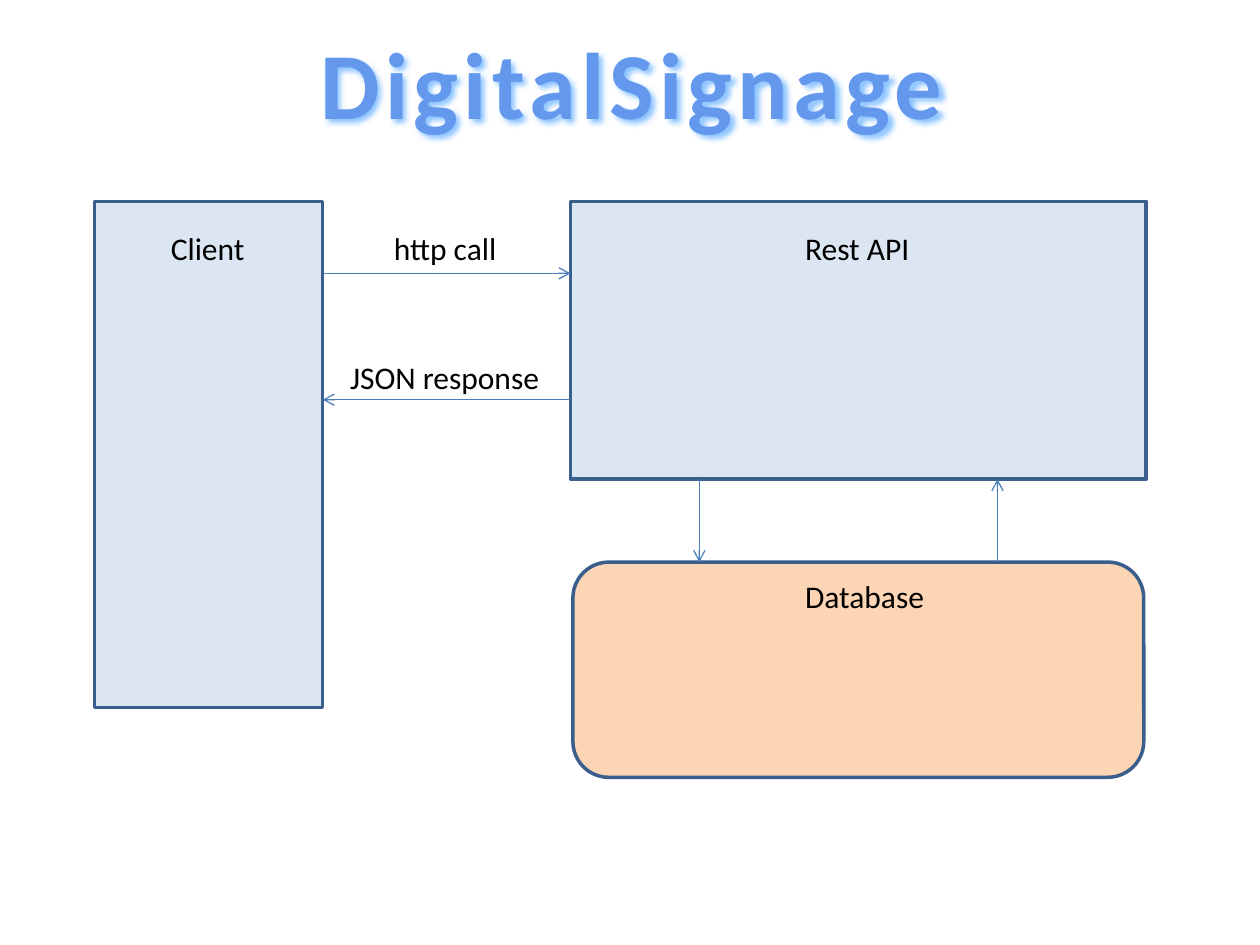
from pptx import Presentation
from pptx.dml.color import RGBColor
from pptx.enum.shapes import MSO_CONNECTOR, MSO_SHAPE
from pptx.enum.text import MSO_ANCHOR, MSO_AUTO_SIZE, PP_ALIGN
from pptx.oxml import parse_xml
from pptx.oxml.ns import nsdecls, qn
from pptx.util import Pt
from lxml.etree import SubElement

FONT = "Calibri"
COLORS = {
    "text": "000000",
    "title": "6398ED",
    "title_shadow": "8CC4FF",
    "service": "DCE6F2",
    "database": "FCD5B5",
    "border": "3A5F8C",
    "arrow": "4B7EBC",
}

# Edges shared by the boxes and the arrows between them
TOP = 115.2
CLIENT_LEFT, CLIENT_RIGHT = 54, 184.4
API_LEFT, API_BOTTOM = 326, 273.8
DB_TOP = 321.2


def color(name):
    return RGBColor.from_string(COLORS[name])


def add_box(slide, kind, fill, left, top, width, height):
    sp = slide.shapes.add_shape(kind, Pt(left), Pt(top), Pt(width), Pt(height))
    sp.shadow.inherit = False
    sp.fill.solid()
    sp.fill.fore_color.rgb = color(fill)
    sp.line.color.rgb = color("border")
    sp.line.width = Pt(2)


def add_label(slide, text, left, top, width):
    sp = slide.shapes.add_textbox(Pt(left), Pt(top), Pt(width), Pt(29))
    tf = sp.text_frame
    tf.word_wrap = False
    tf.auto_size = MSO_AUTO_SIZE.SHAPE_TO_FIT_TEXT
    p = tf.paragraphs[0]
    p.text = text
    p.font.name, p.font.size = FONT, Pt(18)
    p.font.color.rgb = color("text")


def add_arrow(slide, x1, y1, x2, y2):
    line = slide.shapes.add_connector(
        MSO_CONNECTOR.STRAIGHT, Pt(x1), Pt(y1), Pt(x2), Pt(y2))
    line.line.color.rgb = color("arrow")
    line.line.width = Pt(0.75)
    SubElement(line.line._get_or_add_ln(), qn("a:tailEnd"), type="arrow")
    SubElement(line._element.spPr, qn("a:effectLst"))


def set_title(slide, text):
    sp = slide.shapes.title
    sp.left, sp.top, sp.width, sp.height = Pt(172.8), Pt(10.8), Pt(376.6), Pt(72.7)
    sp.fill.background()
    tf = sp.text_frame
    tf.word_wrap = False
    tf.auto_size = MSO_AUTO_SIZE.NONE
    tf.vertical_anchor = MSO_ANCHOR.TOP
    p = tf.paragraphs[0]
    p.alignment = PP_ALIGN.CENTER
    r = p.add_run()
    r.text = text
    r.font.name, r.font.size, r.font.bold = FONT, Pt(54), True
    r.font.color.rgb = color("title")
    r._r.get_or_add_rPr().set("spc", "300")
    # Soft light-blue shadow behind the letters
    sp._element.spPr.append(parse_xml(
        f'<a:effectLst {nsdecls("a")}>'
        f'<a:outerShdw blurRad="{Pt(3)}" dist="{Pt(2)}" dir="2700000">'
        f'<a:srgbClr val="{COLORS["title_shadow"]}"/>'
        '</a:outerShdw></a:effectLst>'))


def main():
    prs = Presentation()
    prs.slide_width, prs.slide_height = Pt(720), Pt(540)
    slide = prs.slides.add_slide(prs.slide_layouts[5])
    set_title(slide, "DigitalSignage")

    # Components
    add_box(slide, MSO_SHAPE.RECTANGLE, "service",
            CLIENT_LEFT, TOP, CLIENT_RIGHT - CLIENT_LEFT, 289.2)
    add_box(slide, MSO_SHAPE.RECTANGLE, "service",
            API_LEFT, TOP, 329, API_BOTTOM - TOP)
    add_box(slide, MSO_SHAPE.ROUNDED_RECTANGLE, "database",
            327.4, DB_TOP, 326.2, 123)

    # Component names and call labels
    for text, left, top, width in (
        ("Client", 90.5, 127.6, 57),
        ("Rest API", 453, 127.6, 75),
        ("Database", 453, 326.3, 83.5),
        ("http call", 218, 127.6, 74),
        ("JSON response", 193, 200.8, 124),
    ):
        add_label(slide, text, left, top, width)

    # Request and response arrows
    add_arrow(slide, CLIENT_RIGHT, 156.2, API_LEFT, 156.2)
    add_arrow(slide, API_LEFT, 228.4, CLIENT_RIGHT, 228.4)
    add_arrow(slide, 399.6, API_BOTTOM, 399.6, DB_TOP)
    add_arrow(slide, 570, DB_TOP, 570, API_BOTTOM)

    prs.save("out.pptx")


if __name__ == "__main__":
    main()
